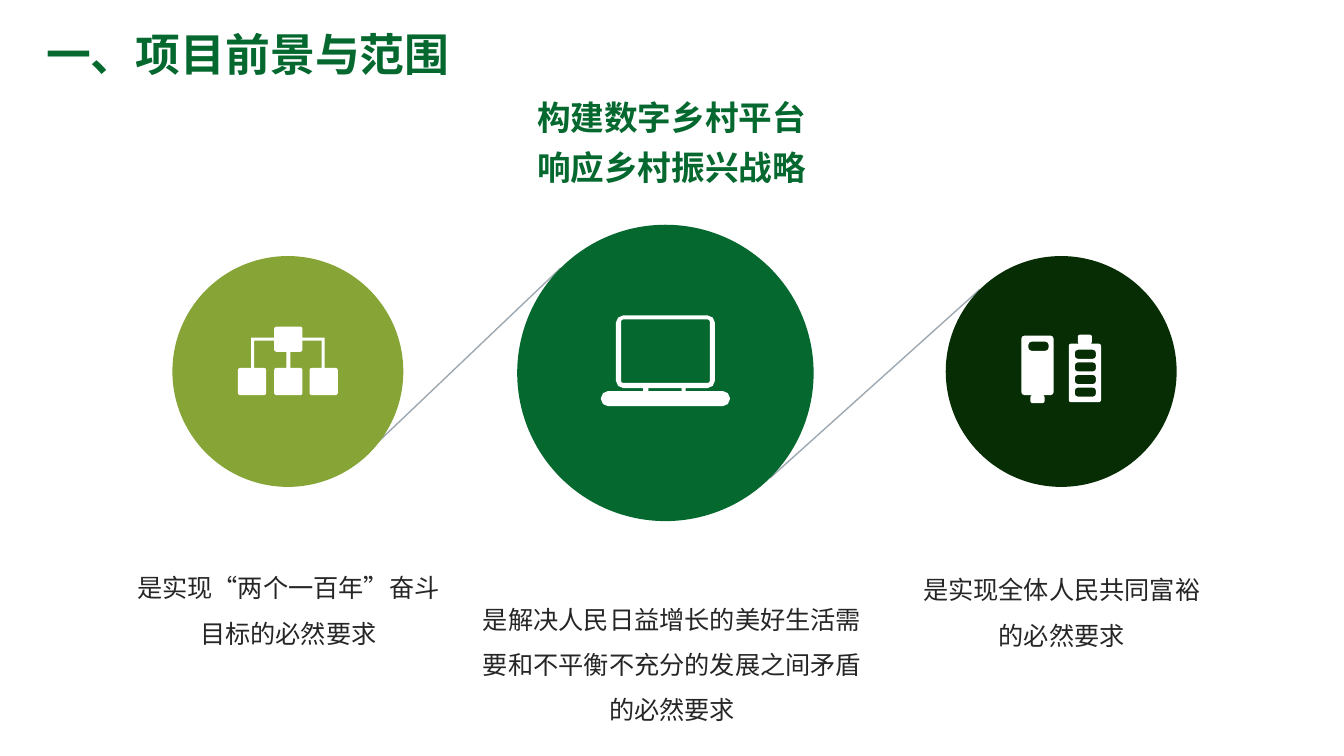
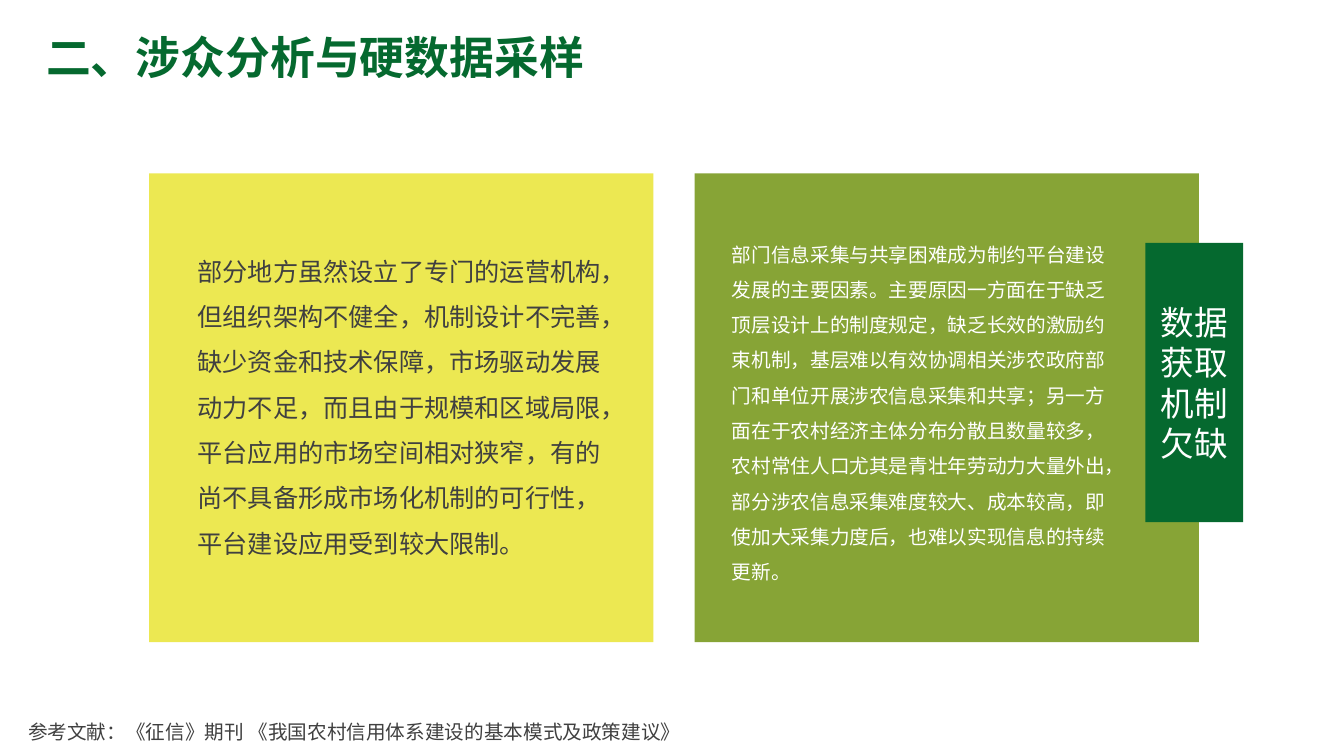
from lxml import etree
from pptx import Presentation
from pptx.dml.color import RGBColor
from pptx.enum.lang import MSO_LANGUAGE_ID
from pptx.enum.shapes import MSO_CONNECTOR, MSO_SHAPE
from pptx.enum.text import MSO_ANCHOR, MSO_AUTO_SIZE, PP_ALIGN
from pptx.oxml.ns import qn
from pptx.util import Inches, Pt

LEFT, CENTER = PP_ALIGN.LEFT, PP_ALIGN.CENTER
TOP, MIDDLE = MSO_ANCHOR.TOP, MSO_ANCHOR.MIDDLE
GROW = MSO_AUTO_SIZE.SHAPE_TO_FIT_TEXT
STRAIGHT = MSO_CONNECTOR.STRAIGHT
OVAL, RECT = MSO_SHAPE.OVAL, MSO_SHAPE.RECTANGLE
CHINESE = MSO_LANGUAGE_ID.SIMPLIFIED_CHINESE

FONT = "Noto Sans CJK SC"
COLORS = {
    "green": "05692F",
    "olive": "87A436",
    "forest": "072D05",
    "yellow": "ECE852",
    "white": "FFFFFF",
    "ink": "262626",
    "gray": "404040",
    "link": "9DA8B1",
}


def paint(shape, color):
    shape.shadow.inherit = False
    shape.fill.solid()
    shape.fill.fore_color.rgb = RGBColor.from_string(COLORS[color])
    shape.line.fill.background()


def write(shape, words, size, color, spacing=1.5, align=LEFT, bold=False, anchor=TOP, inset=True, grow=True):
    frame = shape.text_frame
    frame.word_wrap = True
    frame.vertical_anchor = anchor
    if grow:
        frame.auto_size = GROW
    if not inset:
        frame.margin_left = frame.margin_top = frame.margin_right = frame.margin_bottom = 0
    paragraph = frame.paragraphs[0]
    paragraph.alignment = align
    paragraph.line_spacing = spacing
    run = paragraph.add_run()
    run.text = words
    run.font.size = Pt(size)
    run.font.bold = bold
    run.font.name = FONT
    run.font.language_id = CHINESE
    run.font.color.rgb = RGBColor.from_string(COLORS[color])
    etree.SubElement(run.font._element, qn("a:ea")).set("typeface", FONT)


prs = Presentation()
prs.slide_width, prs.slide_height = Inches(13.33), Inches(7.5)

slides = []
for heading, top, width in [("一、项目前景与范围", 0.28, 8.27), ("二、涉众分析与硬数据采样", 0.31, 7.17)]:
    slide = prs.slides.add_slide(prs.slide_layouts[6])
    title = slide.shapes.add_textbox(Inches(0.36), Inches(top), Inches(width), Inches(0.63))
    write(title, heading, 32, "green", spacing=0.9, bold=True, grow=False)
    slides.append(slide)
vision, stakeholders = slides

for ends in [(3.64, 4.49, 5.56, 2.66), (7.64, 4.74, 9.72, 2.87)]:
    link = vision.shapes.add_connector(STRAIGHT, *map(Inches, ends))
    link.line.color.rgb = RGBColor.from_string(COLORS["link"])
    link.line.width = Pt(1)
    etree.SubElement(link._element.spPr, qn("a:effectLst"))

network = [
    (2.72, 3.24, 0.28, 0.25, 0.02),
    (2.84, 3.49, 0.04, 0.16, 0),
    (2.49, 3.35, 0.23, 0.03, 0),
    (2.49, 3.38, 0.03, 0.27, 0),
    (3, 3.35, 0.22, 0.03, 0),
    (3.19, 3.38, 0.03, 0.27, 0),
]
network += [(left, 3.65, 0.28, 0.27, 0.02) for left in (2.36, 2.72, 3.07)]
laptop = [
    (6.11, 3.13, 0.98, 0.72, 0.07),
    (6.16, 3.17, 0.88, 0.63, 0.02),
    (6.38, 3.85, 0.05, 0.03, 0),
    (6.76, 3.85, 0.04, 0.03, 0),
    (5.96, 3.88, 1.28, 0.15, 0.07),
]
batteries = [
    (10.13, 3.33, 0.32, 0.59, 0.03),
    (10.22, 3.92, 0.14, 0.08, 0.02),
    (10.2, 3.39, 0.2, 0.09, 0.03),
    (10.6, 3.41, 0.32, 0.58, 0.02),
    (10.69, 3.32, 0.14, 0.09, 0.02),
]
batteries += [(10.66, 3.47 + 0.125 * i, 0.21, 0.09, 0.03) for i in range(4)]

bend = [(0, 1), (0.3, 0.3), (1, 0)]
circles = [
    (5.13, 2.23, 2.94, "green", laptop),
    (9.38, 2.54, 2.29, "forest", batteries),
    (1.71, 2.54, 2.29, "olive", network),
]
for left, top, diameter, color, icon in circles:
    circle = vision.shapes.add_shape(OVAL, Inches(left), Inches(top), Inches(diameter), Inches(diameter))
    paint(circle, color)
    outline = None
    for x, y, width, height, radius in icon:
        corners = [(x, y, 1, 1)]
        corners += [(x + width, y, -1, 1), (x + width, y + height, -1, -1), (x, y + height, 1, -1)]
        points = []
        for corner_x, corner_y, across, down in corners:
            steps = bend if across == down else bend[::-1]
            for a, b in steps:
                points.append((Inches(corner_x + across * a * radius), Inches(corner_y + down * b * radius)))
        points = list(dict.fromkeys(points))
        if outline is None:
            outline = vision.shapes.build_freeform(*points[0])
        else:
            outline.move_to(*points[0])
        outline.add_line_segments(points[1:], close=True)
    paint(outline.convert_to_shape(), "white")

captions = [
    ((4.67, 5.84, 3.99, 1.31), "是解决人民日益增长的美好生活需要和不平衡不充分的发展之间矛盾的必然要求"),
    ((1.28, 5.53, 3.16, 0.86), "是实现“两个一百年”奋斗目标的必然要求"),
    ((9.05, 5.55, 2.96, 0.86), "是实现全体人民共同富裕的必然要求"),
]
for box, words in captions:
    caption = vision.shapes.add_textbox(*map(Inches, box))
    write(caption, words, 18, "ink", align=CENTER, inset=False)

slogan = vision.shapes.add_textbox(Inches(5.18), Inches(0.86), Inches(2.96), Inches(0.96))
write(slogan, "构建数字乡村平台响应乡村振兴战略", 24, "green", spacing=1.25, align=CENTER, bold=True, inset=False)

for left, color in [(1.48, "yellow"), (6.89, "olive")]:
    panel = stakeholders.shapes.add_shape(RECT, Inches(left), Inches(1.72), Inches(5), Inches(4.65))
    paint(panel, color)

tab = stakeholders.shapes.add_shape(RECT, Inches(11.36), Inches(2.41), Inches(0.97), Inches(2.77))
paint(tab, "green")
write(tab, "数据获取机制欠缺", 24, "white", spacing=1.0, align=CENTER, anchor=MIDDLE, grow=False)

passages = [
    (
        (7.16, 2.24, 4.05, 3.59), 14, "white",
        "部门信息采集与共享困难成为制约平台建设发展的主要因素。主要原因一方面在于缺乏顶层设计上的制度规定，"
        "缺乏长效的激励约束机制，基层难以有效协调相关涉农政府部门和单位开展涉农信息采集和共享；"
        "另一方面在于农村经济主体分布分散且数量较多，农村常住人口尤其是青壮年劳动力大量外出，"
        "部分涉农信息采集难度较大、成本较高，即使加大采集力度后，也难以实现信息的持续更新。",
    ),
    (
        (0.18, 6.98, 6.77, 0.42), 14, "gray",
        "参考文献：《征信》期刊 《我国农村信用体系建设的基本模式及政策建议》",
    ),
    (
        (1.86, 2.34, 4.25, 3.23), 18, "gray",
        "部分地方虽然设立了专门的运营机构，但组织架构不健全，机制设计不完善，缺少资金和技术保障，"
        "市场驱动发展动力不足，而且由于规模和区域局限，平台应用的市场空间相对狭窄，"
        "有的尚不具备形成市场化机制的可行性，平台建设应用受到较大限制。",
    ),
]
for box, size, color, words in passages:
    passage = stakeholders.shapes.add_textbox(*map(Inches, box))
    write(passage, words, size, color)

prs.save("out.pptx")
